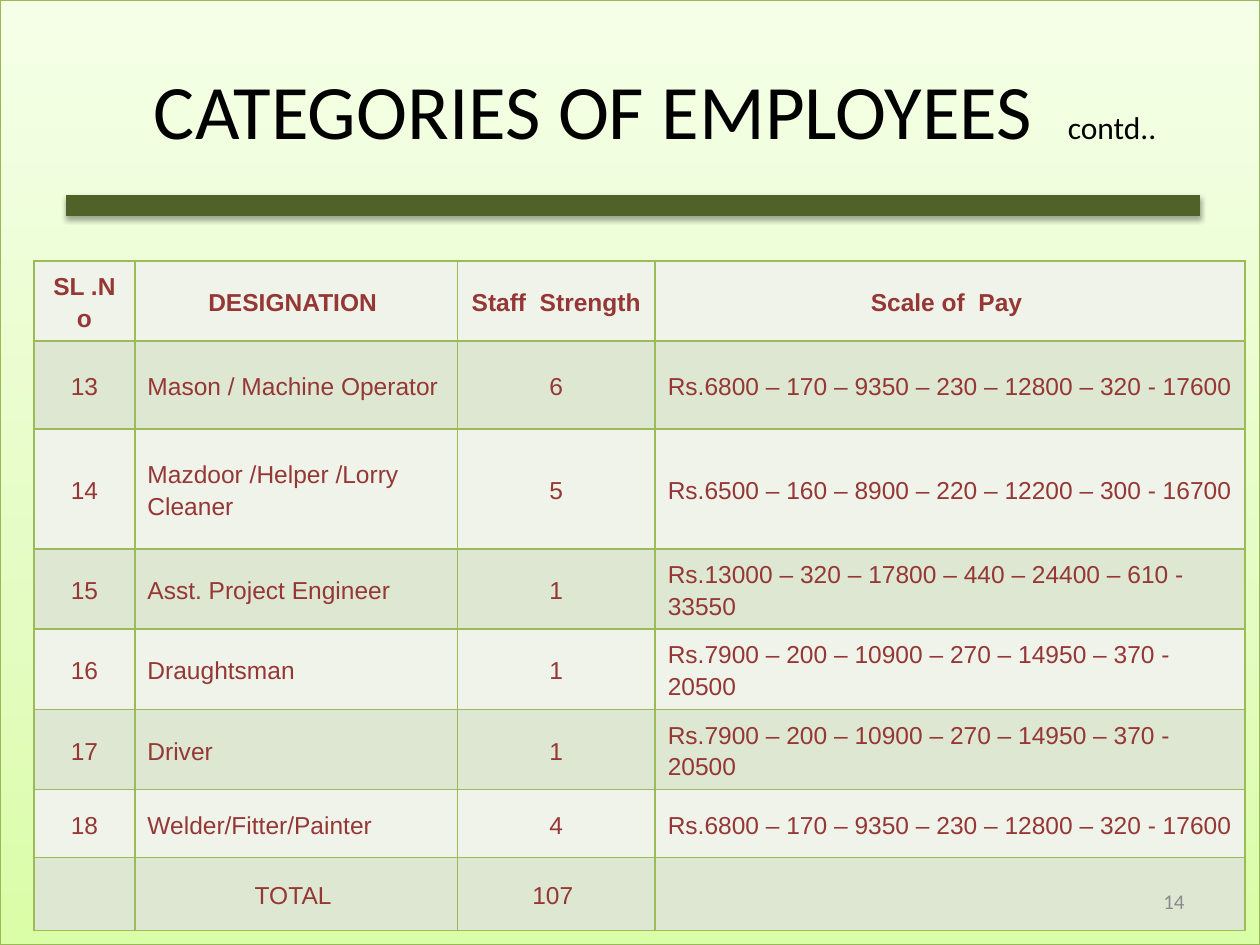
"""Build the slide that lists employee categories, strength and pay scales."""
from dataclasses import dataclass

from lxml.etree import SubElement
from pptx import Presentation
from pptx.dml.color import RGBColor
from pptx.enum.shapes import MSO_SHAPE as Preset
from pptx.enum.text import MSO_ANCHOR as Anchor, PP_ALIGN as Align
from pptx.oxml.ns import qn
from pptx.util import Inches, Pt

WIDTH, HEIGHT = 10, 7.5
COLORS = {
    "sky": "F5FFE7", "meadow": "E4FCC2", "ground": "DAFDA7", "frame": "98B955",
    "bar": "4F6228", "border": "9BBB59", "light": "EFF3EA", "dark": "DEE7D1",
    "table_text": "953735", "title": "000000", "number": "8C8C8C",
}
COLUMN_SHARES = (0.08, 0.256, 0.157, 0.468)
ROW_SHARES = tuple(height / HEIGHT for height in (0.31, 0.7, 0.95, 0.54, 0.54, 0.54, 0.54, 0.58))
HEADER_SPACES = (3.9, 3.6, 3.6, 3.9)
BODY_SPACES = (2.9, 3.9, 3.4, 3.4)
BODY_ALIGNMENTS = (Align.CENTER, Align.LEFT, Align.CENTER, Align.LEFT)


@dataclass(frozen=True)
class Area:
    """A rectangle in shares of the slide's width and height."""
    left: float
    top: float
    width: float
    height: float

    def lengths(self) -> tuple:
        return (Inches(self.left * WIDTH), Inches(self.top * HEIGHT),
                Inches(self.width * WIDTH), Inches(self.height * HEIGHT))


@dataclass(frozen=True)
class Category:
    number: str
    designation: str
    strength: str
    pay: str

    def texts(self) -> tuple:
        return self.number, self.designation, self.strength, self.pay


HEADER = Category("SL .No", "DESIGNATION ", "Staff  Strength ", "Scale of  Pay ")
CATEGORIES = (
    Category("13", "Mason / Machine Operator", "6", "Rs.6800 – 170 – 9350 – 230 – 12800 – 320 - 17600"),
    Category("14", "Mazdoor /Helper /Lorry Cleaner", "5", "Rs.6500 – 160 – 8900 – 220 – 12200 – 300 - 16700"),
    Category("15", "Asst. Project Engineer", "1", "Rs.13000 – 320 – 17800 – 440 – 24400 – 610 - 33550"),
    Category("16", "Draughtsman", "1", "Rs.7900 – 200 – 10900 – 270 – 14950 – 370 - 20500"),
    Category("17", "Driver", "1", "Rs.7900 – 200 – 10900 – 270 – 14950 – 370 - 20500"),
    Category("18", "Welder/Fitter/Painter", "4", "Rs.6800 – 170 – 9350 – 230 – 12800 – 320 - 17600"),
)
TOTAL = Category("", "TOTAL ", "107 ", "")


def color(name: str) -> RGBColor:
    return RGBColor.from_string(COLORS[name])


def set_font(paragraph, name: str, size: float, color_name: str, bold: bool = False) -> None:
    font = paragraph.font
    font.name, font.size, font.bold = name, Pt(size), bold
    font.color.rgb = color(color_name)


def add_shadow(shape, blur: float, distance: float, opacity: int) -> None:
    shape.shadow.inherit = False
    effects = shape._element.spPr.find(qn("a:effectLst"))
    shadow = SubElement(effects, qn("a:outerShdw"), blurRad=str(Pt(blur)), dist=str(Pt(distance)),
                        dir="5400000", rotWithShape="0")
    black = SubElement(shadow, qn("a:srgbClr"), val="000000")
    SubElement(black, qn("a:alpha"), val=str(opacity * 1000))


def add_backdrop(slide) -> None:
    shape = slide.shapes.add_shape(Preset.RECTANGLE, *Area(0, 0, 1, 1).lengths())
    shape.fill.gradient()
    shape.fill.gradient_angle = 90
    stops = next(shape._element.spPr.iter(qn("a:gsLst")))
    stops.clear()
    for position, name in ((0, "ground"), (35, "meadow"), (100, "sky")):
        stop = SubElement(stops, qn("a:gs"), pos=str(position * 1000))
        SubElement(stop, qn("a:srgbClr"), val=COLORS[name])
    shape.line.color.rgb = color("frame")
    shape.line.width = Pt(0.75)
    add_shadow(shape, 3.1, 1.6, 38)


def add_title_bar(slide) -> None:
    shape = slide.shapes.add_shape(Preset.MATH_MINUS, *Area(-0.11, 0.17, 1.225, 0.095).lengths())
    shape.fill.solid()
    shape.fill.fore_color.rgb = color("bar")
    shape.line.fill.background()
    add_shadow(shape, 3.1, 1.8, 35)


def add_text(slide, area: Area, text: str, size: float, color_name: str, alignment: Align):
    frame = slide.shapes.add_textbox(*area.lengths()).text_frame
    frame.word_wrap = True
    frame.vertical_anchor = Anchor.MIDDLE
    paragraph = frame.paragraphs[0]
    paragraph.alignment = alignment
    set_font(paragraph, "Calibri", size, color_name)
    paragraph.add_run().text = text
    return paragraph


def add_borders(cell) -> None:
    properties = cell._tc.get_or_add_tcPr()
    for index, side in enumerate(("lnL", "lnR", "lnT", "lnB")):
        line = properties.makeelement(qn(f"a:{side}"), {"w": str(Pt(1))})
        fill = SubElement(line, qn("a:solidFill"))
        SubElement(fill, qn("a:srgbClr"), val=COLORS["border"])
        properties.insert(index, line)


def fill_cell(cell, text: str, fill_name: str, alignment: Align, space: float, bold: bool) -> None:
    cell.fill.solid()
    cell.fill.fore_color.rgb = color(fill_name)
    cell.vertical_anchor = Anchor.MIDDLE
    add_borders(cell)
    paragraph = cell.text_frame.paragraphs[0]
    paragraph.alignment = alignment
    paragraph.line_spacing = 1.15
    paragraph.space_before = Pt(space)
    set_font(paragraph, "Arial", 14, "table_text", bold)
    if text:
        paragraph.add_run().text = text


def add_category_table(slide) -> None:
    records = (HEADER, *CATEGORIES, TOTAL)
    area = Area(0.027, 0.276, sum(COLUMN_SHARES), sum(ROW_SHARES))
    table = slide.shapes.add_table(len(records), len(COLUMN_SHARES), *area.lengths()).table
    for column, share in zip(table.columns, COLUMN_SHARES):
        column.width = Inches(share * WIDTH)
    for row_index, (record, share) in enumerate(zip(records, ROW_SHARES)):
        table.rows[row_index].height = Inches(share * HEIGHT)
        is_header, is_total = record is HEADER, record is TOTAL
        spaces = HEADER_SPACES if is_header else (3.4,) * 4 if is_total else BODY_SPACES
        alignments = (Align.CENTER,) * 4 if is_header or is_total else BODY_ALIGNMENTS
        fill_name = "dark" if row_index % 2 else "light"
        for column_index, values in enumerate(zip(record.texts(), alignments, spaces)):
            text, alignment, space = values
            fill_cell(table.cell(row_index, column_index), text, fill_name, alignment, space, is_header)


def main() -> None:
    presentation = Presentation()
    presentation.slide_width, presentation.slide_height = Inches(WIDTH), Inches(HEIGHT)
    slide = presentation.slides.add_slide(presentation.slide_layouts[6])
    add_backdrop(slide)
    add_title_bar(slide)
    title = add_text(slide, Area(0.067, 0.037, 0.906, 0.157), "CATEGORIES OF EMPLOYEES  ",
                     44, "title", Align.CENTER)
    suffix = title.add_run()
    suffix.text = "contd.."
    suffix.font.size = Pt(18)
    add_category_table(slide)
    add_text(slide, Area(0.717, 0.927, 0.233, 0.053), "14", 12, "number", Align.RIGHT)
    presentation.save("out.pptx")


if __name__ == "__main__":
    main()
